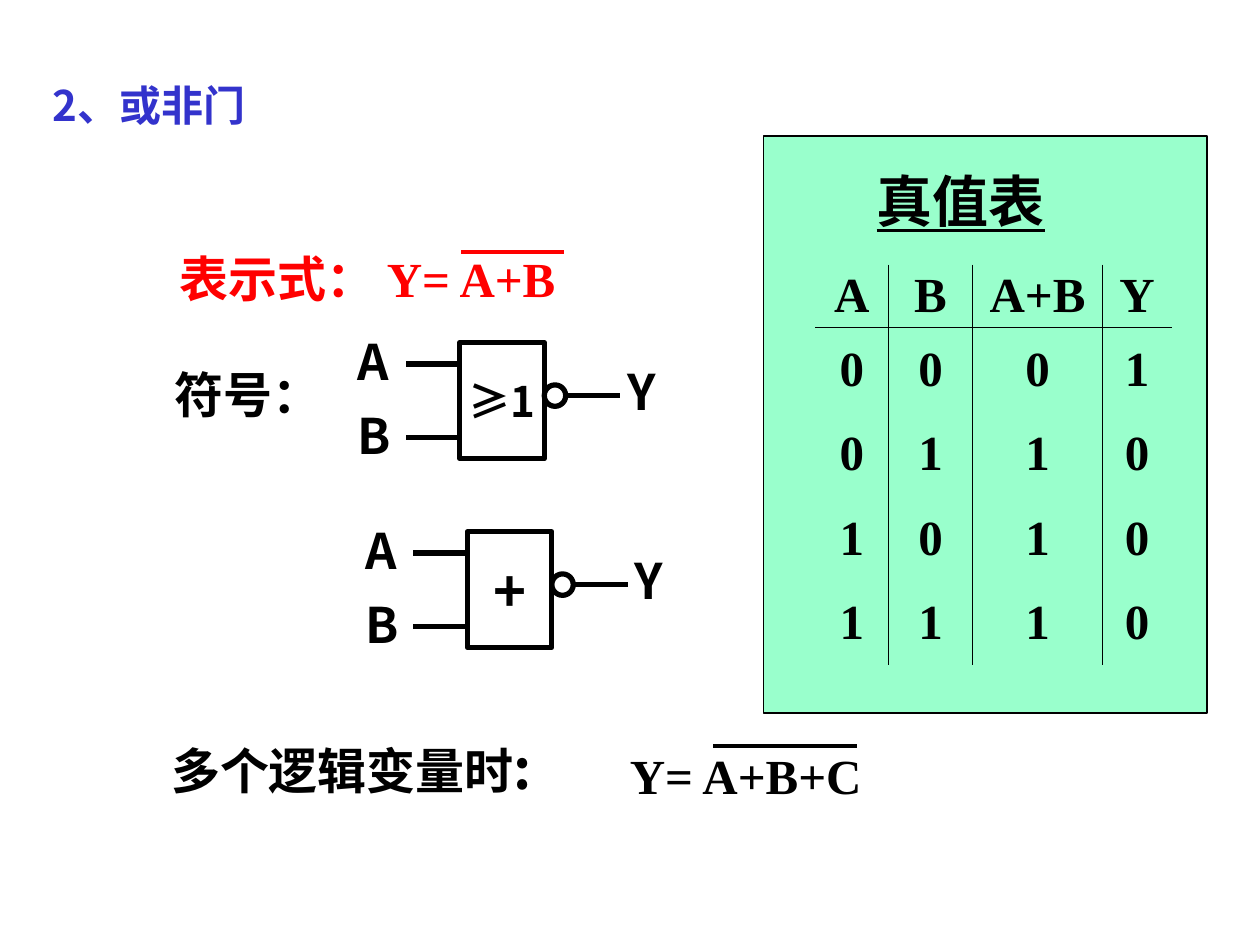
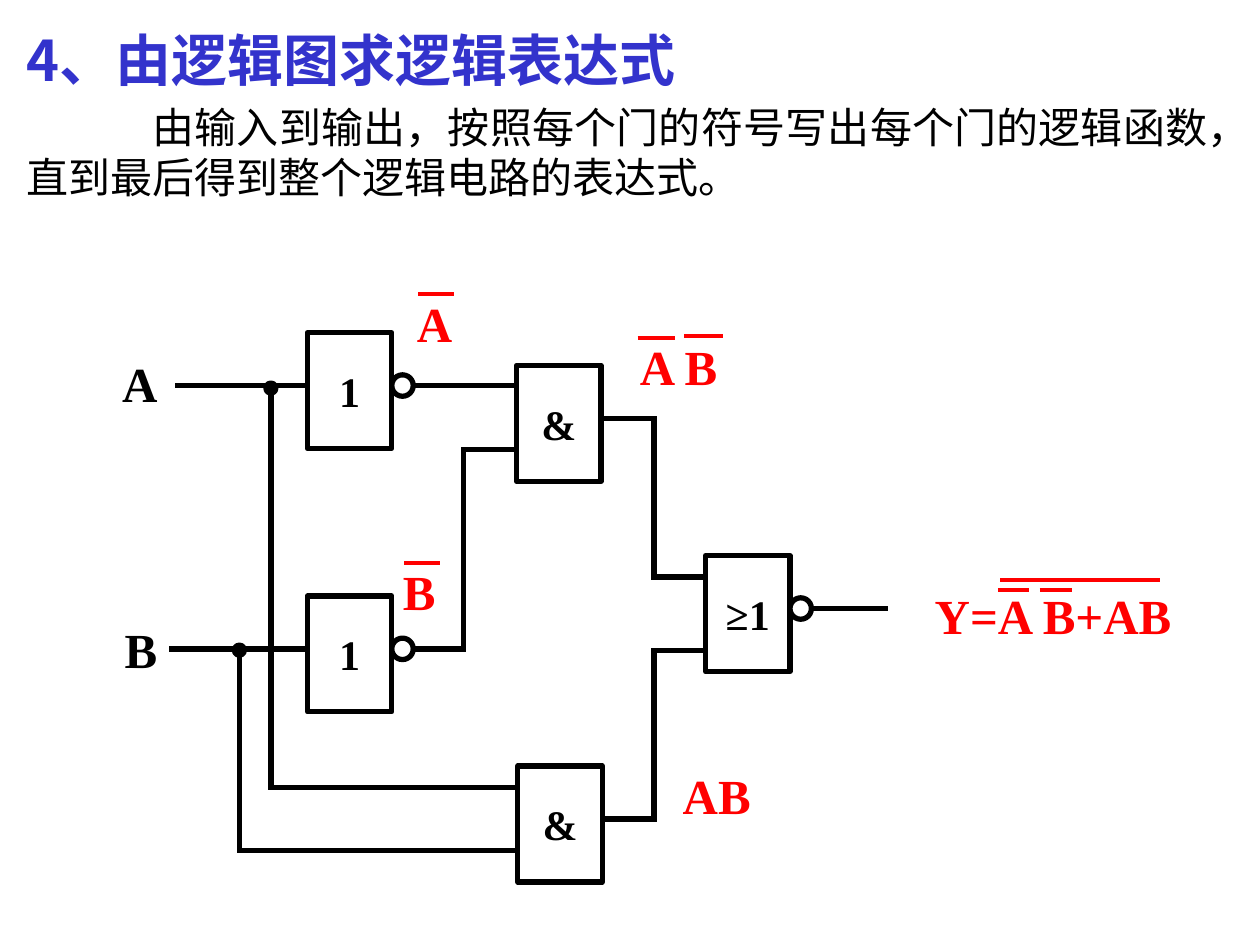
from itertools import pairwise

from lxml import etree
from pptx import Presentation
from pptx.dml.color import RGBColor
from pptx.enum import shapes, text
from pptx.oxml.ns import qn
from pptx.util import Inches, Pt

SANS, SERIF = "Noto Sans CJK SC", "Times New Roman"
BLACK, WHITE, RED, BLUE, MINT = "000000", "FFFFFF", "FF0000", "3333CC", "99FFCC"
LEFT, CENTER = text.PP_ALIGN.LEFT, text.PP_ALIGN.CENTER
TOP, MIDDLE = text.MSO_ANCHOR.TOP, text.MSO_ANCHOR.MIDDLE

GATE_W, GATE_H, BUBBLE = 0.67, 0.92, 0.17
OUT_Y = 0.42  # height of a gate's output below its top


def rgb(hex_color):
    return RGBColor.from_string(hex_color)


def style_run(run, size, font, color, bold=True):
    run.font.size = Pt(size)
    run.font.bold = bold
    run.font.color.rgb = rgb(color)
    run.font.name = font
    east_asian = etree.SubElement(run.font._element, qn("a:ea"))
    east_asian.set("typeface", SANS)


def style_frame(frame, size, font, color=BLACK, align=LEFT, anchor=TOP, bold=True):
    frame.auto_size = text.MSO_AUTO_SIZE.NONE
    frame.vertical_anchor = anchor
    for paragraph in frame.paragraphs:
        paragraph.alignment = align
        paragraph.space_before = Pt(0)
        for run in paragraph.runs:
            style_run(run, size, font, color, bold)


def place(shape, left, top, width, height):
    shape.left, shape.top = Inches(left), Inches(top)
    shape.width, shape.height = Inches(width), Inches(height)


def title(slide, words, left, top, width, height, size):
    heading = slide.shapes.title
    place(heading, left, top, width, height)
    heading.text_frame.text = words
    style_frame(heading.text_frame, size, SANS, BLUE)


def label(slide, words, left, top, width, font=SERIF, color=BLACK, size=28, align=LEFT):
    box = slide.shapes.add_textbox(Inches(left), Inches(top), Inches(width), Inches(0.57))
    frame = box.text_frame
    frame.word_wrap = True
    frame.text = words
    style_frame(frame, size, font, color, align)
    return frame.paragraphs[0]


def filled(slide, kind, left, top, width, height, fill=WHITE, line_width=3):
    shape = slide.shapes.add_shape(
        kind, Inches(left), Inches(top), Inches(width), Inches(height))
    shape.shadow.inherit = False
    shape.fill.solid()
    shape.fill.fore_color.rgb = rgb(fill)
    shape.line.color.rgb = rgb(BLACK)
    shape.line.width = Pt(line_width)
    return shape


def stroke(slide, start, end, color, width):
    line = slide.shapes.add_connector(
        shapes.MSO_CONNECTOR.STRAIGHT, *map(Inches, start + end))
    line.line.color.rgb = rgb(color)
    line.line.width = Pt(width)
    etree.SubElement(line._element.spPr, qn("a:effectLst"))
    return line


def wire(slide, *points):
    """Draw a wire through the points, with square ends that close the corners."""
    for start, end in pairwise(points):
        segment = stroke(slide, start, end, BLACK, 3)
        segment.line._get_or_add_ln().set("cap", "sq")


def overline(slide, left, right, y, color=RED):
    stroke(slide, (left, y), (right, y), color, 2.25)


def junction(slide, x, y):
    filled(slide, shapes.MSO_SHAPE.OVAL, x - 0.04, y - 0.04, 0.08, 0.08, BLACK)


def gate(slide, left, top, caption, font=SERIF, size=24, inverted=True):
    body = filled(slide, shapes.MSO_SHAPE.RECTANGLE, left, top, GATE_W, GATE_H)
    frame = body.text_frame
    frame.margin_left = frame.margin_right = 0
    frame.word_wrap = False
    frame.text = caption
    style_frame(frame, size, font, align=CENTER, anchor=MIDDLE)
    if inverted:
        filled(slide, shapes.MSO_SHAPE.OVAL, left + GATE_W,
               top + OUT_Y - BUBBLE / 2, BUBBLE, BUBBLE)


def nor_symbol(slide, left, top, caption, size):
    """Draw a NOR gate with its leads and the names A, B and Y."""
    for name, lead_y, name_y in (("A", 0.17, -0.14), ("B", 0.75, 0.45)):
        label(slide, name, left - 0.91, top + name_y, 0.5, SANS)
        wire(slide, (left - 0.41, top + lead_y), (left, top + lead_y))
    out_x = left + GATE_W + BUBBLE
    wire(slide, (out_x, top + OUT_Y), (out_x + 0.41, top + OUT_Y))
    label(slide, "Y", left + 1.23, top + 0.1, 0.5, SANS)
    gate(slide, left, top, caption, SANS, size)


def set_border(cell, side, visible):
    border = etree.SubElement(cell._tc.get_or_add_tcPr(), qn(f"a:ln{side}"), w=str(Pt(0.75)))
    if visible:
        fill = etree.SubElement(border, qn("a:solidFill"))
        etree.SubElement(fill, qn("a:srgbClr"), val=BLACK)
    else:
        etree.SubElement(border, qn("a:noFill"))


def truth_table(slide):
    filled(slide, shapes.MSO_SHAPE.RECTANGLE, 6.06, 1.08, 3.52, 4.58, MINT, 0.75)
    caption = label(slide, "真值表", 6.25, 1.27, 2.75, size=32, align=CENTER)
    caption.runs[0].font.underline = True

    rows = ["A", "B", "A+B", "Y"], *("0001", "0110", "1010", "1110")
    widths, heights = (0.58, 0.67, 1.03, 0.55), (0.5,) + (0.67,) * 4
    table = slide.shapes.add_table(
        len(rows), len(widths), Inches(6.47), Inches(2.1),
        Inches(sum(widths)), Inches(sum(heights))).table
    table.first_row = table.horz_banding = False
    for column, width in zip(table.columns, widths):
        column.width = Inches(width)
    for r, (values, height) in enumerate(zip(rows, heights)):
        table.rows[r].height = Inches(height)
        for c, value in enumerate(values):
            cell = table.cell(r, c)
            cell.margin_left = cell.margin_right = 0
            cell.margin_top = cell.margin_bottom = 0
            cell.vertical_anchor = MIDDLE
            cell.text_frame.text = value
            paragraph = cell.text_frame.paragraphs[0]
            paragraph.alignment = CENTER
            style_run(paragraph.runs[0], 28, SERIF, BLACK)
            set_border(cell, "L", c > 0)
            set_border(cell, "R", c < len(widths) - 1)
            set_border(cell, "T", r == 1)
            set_border(cell, "B", r == 0)
            cell.fill.solid()
            cell.fill.fore_color.rgb = rgb(MINT)


def nor_gate_slide(prs):
    slide = prs.slides.add_slide(prs.slide_layouts[5])
    title(slide, "2、或非门", 0.32, 0.58, 2.26, 0.5, 24)
    label(slide, "表示式： Y= A+B", 1.33, 1.92, 3.35, color=RED)
    overline(slide, 3.66, 4.48, 2)
    truth_table(slide)

    label(slide, "符号：", 1.28, 2.84, 1.38, align=CENTER)
    nor_symbol(slide, 3.65, 2.72, "≥1", 24)
    nor_symbol(slide, 3.71, 4.22, "+", 32)

    many_variables = label(slide, "多个逻辑变量时", 1.26, 5.77, 3.71, SANS)
    colon = many_variables.add_run()
    colon.text = ":"
    style_run(colon, 32, SANS, BLACK)
    label(slide, "Y= A+B+C", 4.9, 5.87, 2.07)
    overline(slide, 5.66, 6.8, 5.92, BLACK)


def method_text(slide):
    body = slide.placeholders[1]
    place(body, 0.11, 0.76, 9.58, 0.95)
    frame = body.text_frame
    frame.text = "由输入到输出，按照每个门的符号写出每个门的逻辑函数，直到最后得到整个逻辑电路的表达式。"
    style_frame(frame, 24, SERIF, align=text.PP_ALIGN.JUSTIFY, bold=False)
    paragraph = frame.paragraphs[0]
    paragraph.line_spacing = Pt(28.6)
    properties = paragraph._p.get_or_add_pPr()
    properties.set("marL", "0")
    properties.set("indent", str(Inches(1)))
    etree.SubElement(properties, qn("a:buNone"))


def circuit(slide):
    wire(slide, (1.41, 3.06), (2.44, 3.06))
    wire(slide, (1.36, 5.15), (2.44, 5.15))
    wire(slide, (2.15, 3.06), (2.15, 6.25), (4.11, 6.25))
    wire(slide, (1.9, 5.15), (1.9, 6.75), (4.11, 6.75))
    wire(slide, (3.28, 3.06), (4.1, 3.06))
    wire(slide, (3.28, 5.15), (3.68, 5.15), (3.68, 3.57), (4.1, 3.57))
    wire(slide, (4.77, 3.32), (5.19, 3.32), (5.19, 4.58), (5.6, 4.58))
    wire(slide, (4.78, 6.5), (5.19, 6.5), (5.19, 5.16), (5.6, 5.16))
    wire(slide, (6.44, 4.83), (7.03, 4.83))
    junction(slide, 2.15, 3.08)
    junction(slide, 1.9, 5.16)

    gate(slide, 2.44, 2.64, "1")
    gate(slide, 2.44, 4.73, "1")
    gate(slide, 4.1, 2.9, "&", inverted=False)
    gate(slide, 4.11, 6.08, "&", inverted=False)
    gate(slide, 5.6, 4.41, "≥1")


def logic_diagram_slide(prs):
    slide = prs.slides.add_slide(prs.slide_layouts[1])
    title(slide, "4、由逻辑图求逻辑表达式", 0.11, 0.15, 9.58, 0.63, 32)
    method_text(slide)
    circuit(slide)
    label(slide, "A", 0.87, 2.76, 0.59)
    label(slide, "B", 0.89, 4.87, 0.62)

    for expression, left, top, width in (
            ("A", 3.21, 2.28, 0.69), ("B", 3.1, 4.41, 0.7), ("A B", 4.98, 2.62, 0.9),
            ("AB", 5.32, 6.03, 0.82), ("Y=A B+AB", 7.32, 4.6, 2.37)):
        label(slide, expression, left, top, width, color=RED)
    for left, right, y in (
            (3.32, 3.6, 2.33), (3.21, 3.49, 4.47), (5.06, 5.36, 2.68), (5.43, 5.74, 2.67),
            (7.92, 8.17, 4.68), (8.25, 8.51, 4.68), (7.94, 9.21, 4.6)):
        overline(slide, left, right, y)


def main():
    prs = Presentation()
    prs.slide_width, prs.slide_height = Inches(10), Inches(7.5)
    nor_gate_slide(prs)
    logic_diagram_slide(prs)
    prs.save("out.pptx")


if __name__ == "__main__":
    main()
